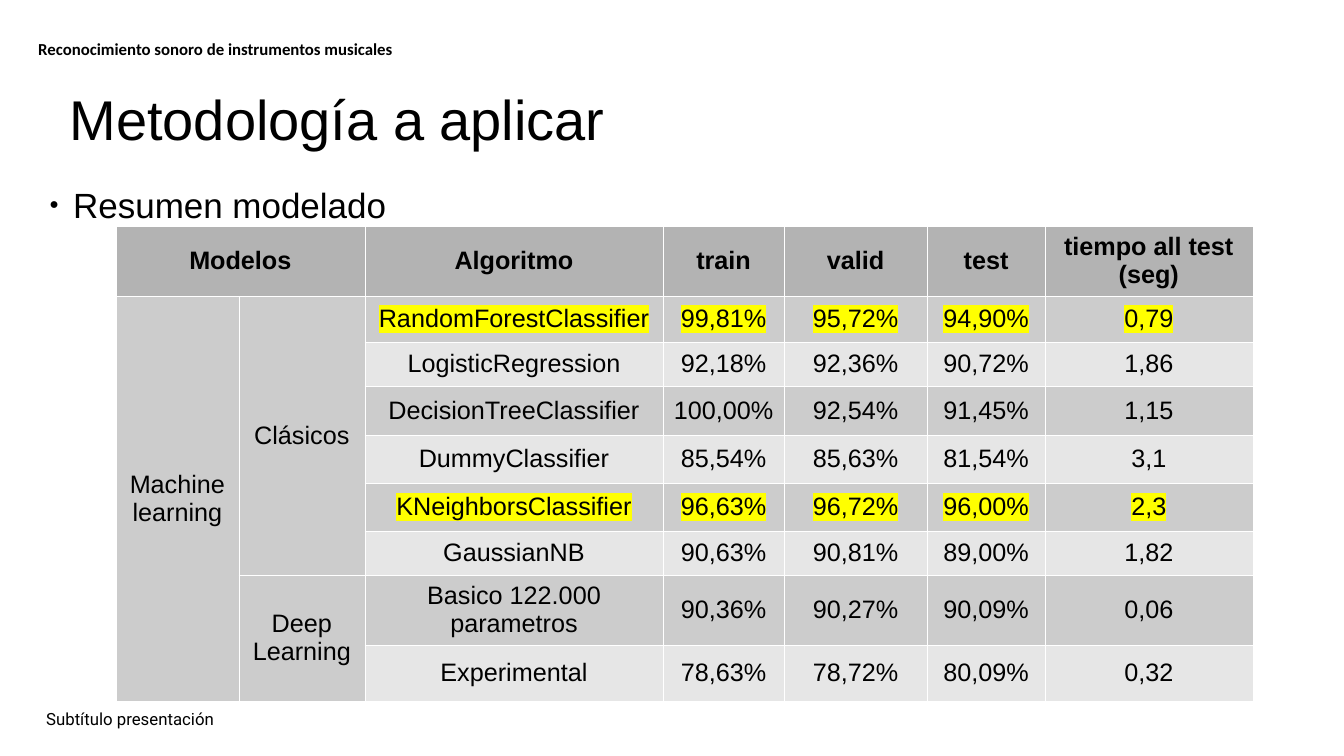
import pptx
import pptx.util
import pptx.dml.color
import pptx.enum.text
import pptx.oxml
import pptx.oxml.ns

Pt = pptx.util.Pt
ALIGN = pptx.enum.text.PP_ALIGN
ANCHOR = pptx.enum.text.MSO_ANCHOR


def add_xml(parent, tag, body="", **attrs):
    """Append a drawing element, with optional inner XML, to parent."""
    values = "".join(f' {name}="{value}"' for name, value in attrs.items())
    ns = pptx.oxml.ns.nsdecls("a")
    parent.append(pptx.oxml.parse_xml(f"<a:{tag} {ns}{values}>{body}</a:{tag}>"))


def write(tf, text, size, font="Arial", bold=False, align=ALIGN.LEFT,
          anchor=ANCHOR.TOP, spacing=1.0, highlight=None):
    tf.text = text
    tf.word_wrap = True
    p = tf.paragraphs[0]
    p.alignment = align
    p.line_spacing = spacing
    p.space_before = Pt(0)
    r = p.runs[0]
    r.font.size = Pt(size)
    r.font.bold = bold
    r.font.color.rgb = pptx.dml.color.RGBColor.from_string("000000")
    if highlight:
        add_xml(r.font._element, "highlight", f'<a:srgbClr val="{highlight}"/>')
    r.font.name = font
    tf.vertical_anchor = anchor


prs = pptx.Presentation()
prs.slide_width, prs.slide_height = Pt(960), Pt(540)
s = prs.slides.add_slide(prs.slide_layouts[1])

# Title and bullet
title, body = s.placeholders
title.left, title.top, title.width, title.height = Pt(42.5), Pt(56.9), Pt(737.3), Pt(51.8)
title.text_frame.auto_size = pptx.enum.text.MSO_AUTO_SIZE.NONE
write(title.text_frame, "Metodología a aplicar", 40)

body.left, body.top, body.width, body.height = Pt(28.1), Pt(127.4), Pt(907.2), Pt(35.3)
body.text_frame.auto_size = pptx.enum.text.MSO_AUTO_SIZE.NONE
write(body.text_frame, "Resumen modelado", 25, align=ALIGN.JUSTIFY)
pPr = body.text_frame.paragraphs[0]._p.get_or_add_pPr()
pPr.set("marL", str(Pt(17)))
pPr.set("indent", str(Pt(-17)))
add_xml(pPr, "buClr", '<a:srgbClr val="000000"/>')
add_xml(pPr, "buSzPct", val=45000)
add_xml(pPr, "buFont", typeface="Arial")
add_xml(pPr, "buChar", char="●")

# Running header and footer
for text, font, bold, box in [
    ("Reconocimiento sonoro de instrumentos musicales", "Calibri", True, (20.2, 24.5, 327.6, 22.3)),
    ("Subtítulo presentación", "Roboto", False, (25.9, 503.3, 324, 21.6)),
]:
    sp = s.shapes.add_textbox(*map(Pt, box))
    write(sp.text_frame, text, 12, font, bold, anchor=ANCHOR.MIDDLE, spacing=0.9)

# Results table
rows = [
    ("Modelos", "", "Algoritmo", "train", "valid", "test", "tiempo all test (seg)"),
    ("Machine learning", "Clásicos", "RandomForestClassifier", "99,81%", "95,72%", "94,90%", "0,79"),
    ("", "", "LogisticRegression", "92,18%", "92,36%", "90,72%", "1,86"),
    ("", "", "DecisionTreeClassifier", "100,00%", "92,54%", "91,45%", "1,15"),
    ("", "", "DummyClassifier", "85,54%", "85,63%", "81,54%", "3,1"),
    ("", "", "KNeighborsClassifier", "96,63%", "96,72%", "96,00%", "2,3"),
    ("", "", "GaussianNB", "90,63%", "90,81%", "89,00%", "1,82"),
    ("", "Deep Learning", "Basico 122.000 parametros", "90,36%", "90,27%", "90,09%", "0,06"),
    ("", "", "Experimental", "78,63%", "78,72%", "80,09%", "0,32"),
]
col_widths = [87.8, 90, 213.1, 86.4, 102.2, 84.2, 148.3]
row_heights = [47.8, 32.4, 31.7, 35.3, 33.8, 34.6, 31, 48.2, 39.6]
best_rows = (1, 5)

table = s.shapes.add_table(len(rows), len(col_widths), Pt(82.8), Pt(161.3),
                           Pt(sum(col_widths)), Pt(sum(row_heights))).table
for column, width in zip(table.columns, col_widths):
    column.width = Pt(width)
for row, height in zip(table.rows, row_heights):
    row.height = Pt(height)

for i, values in enumerate(rows):
    for j, text in enumerate(values):
        cell = table.cell(i, j)
        cell.margin_left = cell.margin_right = Pt(7.2)
        cell.margin_top = cell.margin_bottom = Pt(3.6)
        cell.vertical_anchor = ANCHOR.MIDDLE
        for side in ("lnL", "lnR", "lnT", "lnB"):
            add_xml(cell._tc.get_or_add_tcPr(), side,
                    '<a:solidFill><a:srgbClr val="FFFFFF"/></a:solidFill>', w=Pt(0.06))
        if i == 0:
            fill = "B3B3B3"
        else:
            fill = "CCCCCC" if j < 2 or i % 2 else "E6E6E6"
        cell.fill.solid()
        cell.fill.fore_color.rgb = pptx.dml.color.RGBColor.from_string(fill)
        if text:
            best = i in best_rows and j >= 2
            write(cell.text_frame, text, 18, bold=i == 0, align=ALIGN.CENTER,
                  anchor=None, highlight="FFFF00" if best else None)

for first, last in [((0, 0), (0, 1)), ((1, 0), (8, 0)), ((1, 1), (6, 1)), ((7, 1), (8, 1))]:
    table.cell(*first).merge(table.cell(*last))

prs.save("out.pptx")
